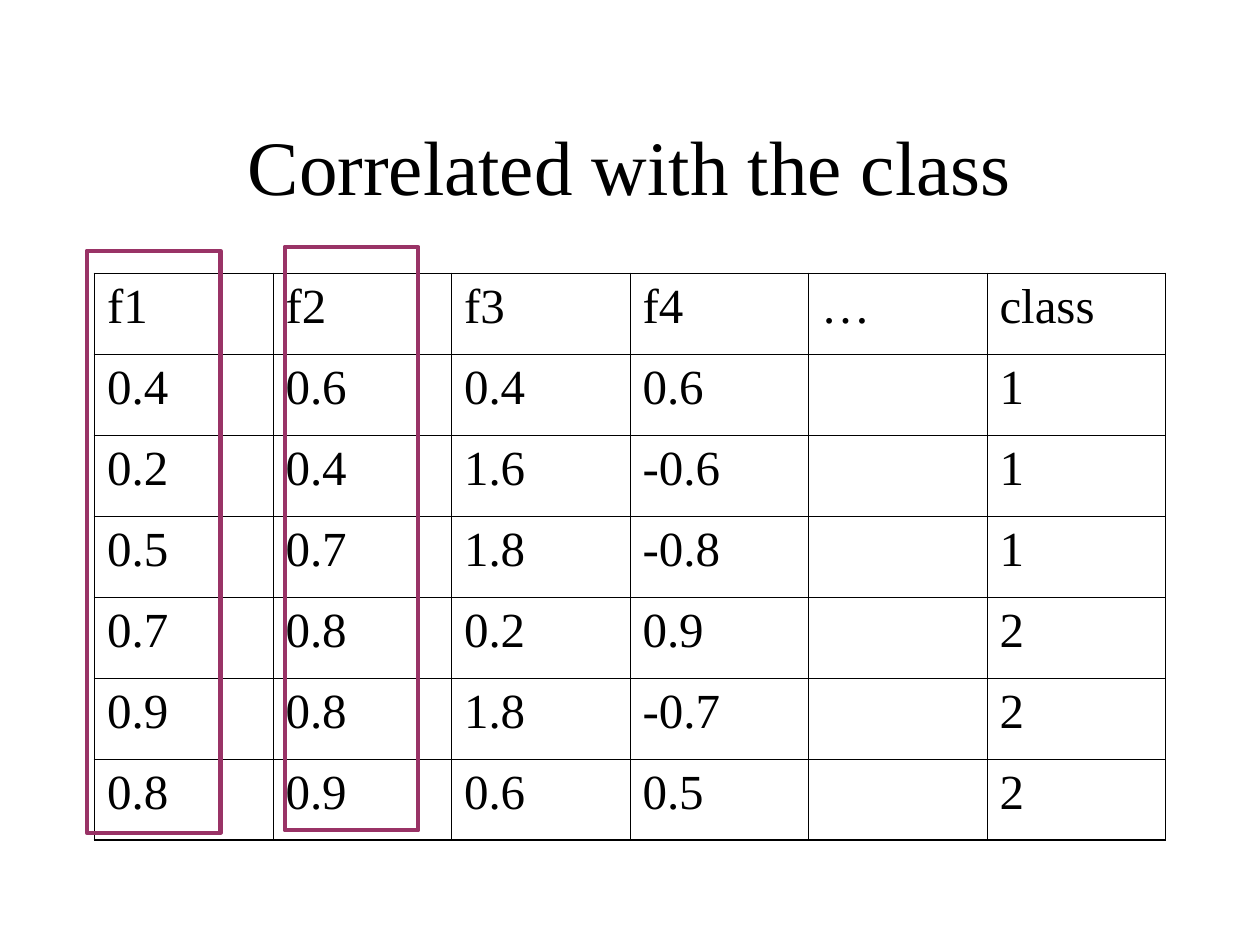
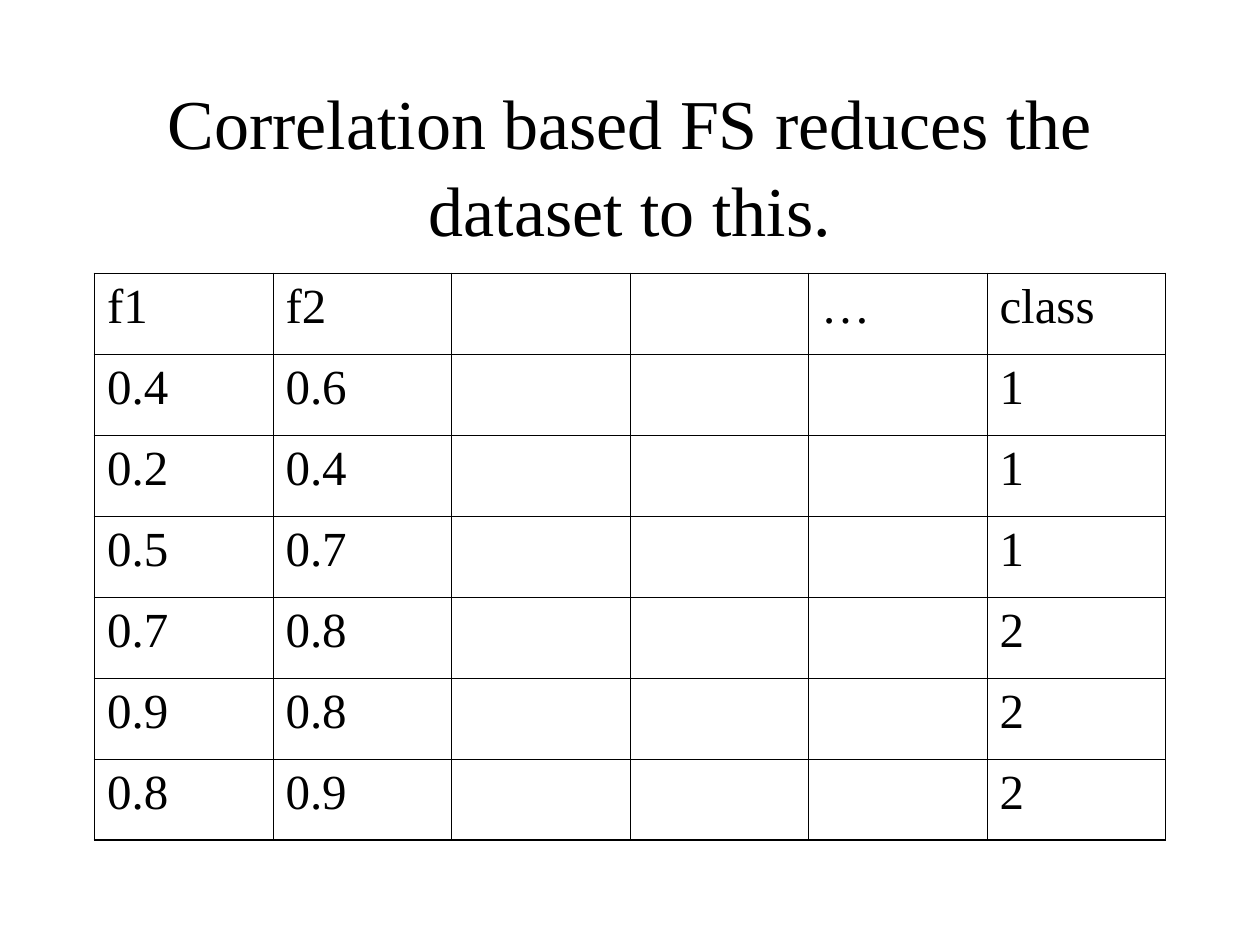
from dataclasses import dataclass

from lxml.etree import SubElement
from pptx import Presentation
from pptx.dml.color import RGBColor
from pptx.enum.shapes import MSO_SHAPE as Shape
from pptx.enum.text import MSO_ANCHOR as Anchor, PP_ALIGN as Align
from pptx.oxml.ns import qn
from pptx.util import Inches, Pt


@dataclass(frozen=True)
class Theme:
    """Colours, font and sizes shared by the slides."""
    font: str = "Times New Roman"
    ink: str = "000000"
    highlight: str = "993366"
    paper: str = "FFFFFF"
    cell_size: float = 28
    inner_border: float = 0.45
    outer_border: float = 1.08
    highlight_width: float = 2.5
    title_spacing: float = 1.04


THEME = Theme()
TITLE_BOX = (0.75, 0.67, 8.5, 1.25)
TABLE_BOX = (0.75, 2.17, 8.5, 4.5)
HIGHLIGHT_BOXES = [(-0.06, -0.18, 1.06, 4.62), (1.51, -0.21, 1.06, 4.63)]
DATASET = [
    ["f1", "f2", "f3", "f4", "…", "class"],
    ["0.4", "0.6", "0.4", "0.6", "", "1"],
    ["0.2", "0.4", "1.6", "-0.6", "", "1"],
    ["0.5", "0.7", "1.8", "-0.8", "", "1"],
    ["0.7", "0.8", "0.2", "0.9", "", "2"],
    ["0.9", "0.8", "1.8", "-0.7", "", "2"],
    ["0.8", "0.9", "0.6", "0.5", "", "2"],
]
DROPPED_COLUMNS = (2, 3)


def style_paragraph(paragraph, size):
    """Apply the shared font to a paragraph."""
    font = paragraph.font
    font.name, font.size, font.bold = THEME.font, Pt(size), False
    font.color.rgb = RGBColor.from_string(THEME.ink)


def add_title(slide, box, text, size):
    """Place a centred title in the box."""
    shape = slide.shapes.add_textbox(*map(Inches, box))
    frame = shape.text_frame
    frame.word_wrap = True
    frame.vertical_anchor = Anchor.MIDDLE
    paragraph = frame.paragraphs[0]
    paragraph.text = text
    paragraph.alignment = Align.CENTER
    paragraph.line_spacing = THEME.title_spacing
    style_paragraph(paragraph, size)


def set_borders(cell, outer_sides):
    """Draw four cell borders, heavier on the outer sides."""
    properties = cell._tc.get_or_add_tcPr()
    for index, side in enumerate("LRTB"):
        width = THEME.outer_border if side in outer_sides else THEME.inner_border
        line = SubElement(properties, qn(f"a:ln{side}"), w=str(Pt(width)))
        fill = SubElement(line, qn("a:solidFill"))
        SubElement(fill, qn("a:srgbClr"), val=THEME.ink)
        properties.insert(index, line)


def add_data_table(slide, box, rows):
    """Fill the box with an evenly divided, ruled table."""
    row_count, column_count = len(rows), len(rows[0])
    left, top, width, height = map(Inches, box)
    table = slide.shapes.add_table(
        row_count, column_count, left, top, width, height).table
    table.first_row = table.horz_banding = False
    for row_index, row in enumerate(rows):
        for column_index, value in enumerate(row):
            cell = table.cell(row_index, column_index)
            cell.text = value
            cell.fill.background()
            style_paragraph(cell.text_frame.paragraphs[0], THEME.cell_size)
            edges = {"L": column_index == 0, "R": column_index == column_count - 1,
                     "T": row_index == 0, "B": row_index == row_count - 1}
            set_borders(cell, [side for side, is_outer in edges.items() if is_outer])


def add_highlights(slide, box, frames):
    """Outline areas placed relative to the corner of the box."""
    for left, top, width, height in frames:
        position = (box[0] + left, box[1] + top, width, height)
        shape = slide.shapes.add_shape(Shape.RECTANGLE, *map(Inches, position))
        shape.shadow.inherit = False
        shape.fill.background()
        shape.line.color.rgb = RGBColor.from_string(THEME.highlight)
        shape.line.width = Pt(THEME.highlight_width)


def add_table_slide(presentation, title, title_size, rows, highlights=()):
    """Add a slide with a title, a table and optional outlines."""
    slide = presentation.slides.add_slide(presentation.slide_layouts[6])
    background = slide.background.fill
    background.solid()
    background.fore_color.rgb = RGBColor.from_string(THEME.paper)
    add_title(slide, TITLE_BOX, title, title_size)
    add_data_table(slide, TABLE_BOX, rows)
    add_highlights(slide, TABLE_BOX, highlights)


def main():
    """Build and save the presentation."""
    presentation = Presentation()
    presentation.slide_width, presentation.slide_height = Inches(10), Inches(7.5)
    reduced = [["" if index in DROPPED_COLUMNS else value
                for index, value in enumerate(row)] for row in DATASET]
    add_table_slide(presentation, "Correlated with the class", 44,
                    DATASET, HIGHLIGHT_BOXES)
    add_table_slide(presentation, "Correlation based FS reduces the dataset to this.",
                    40, reduced)
    presentation.save("out.pptx")


if __name__ == "__main__":
    main()
